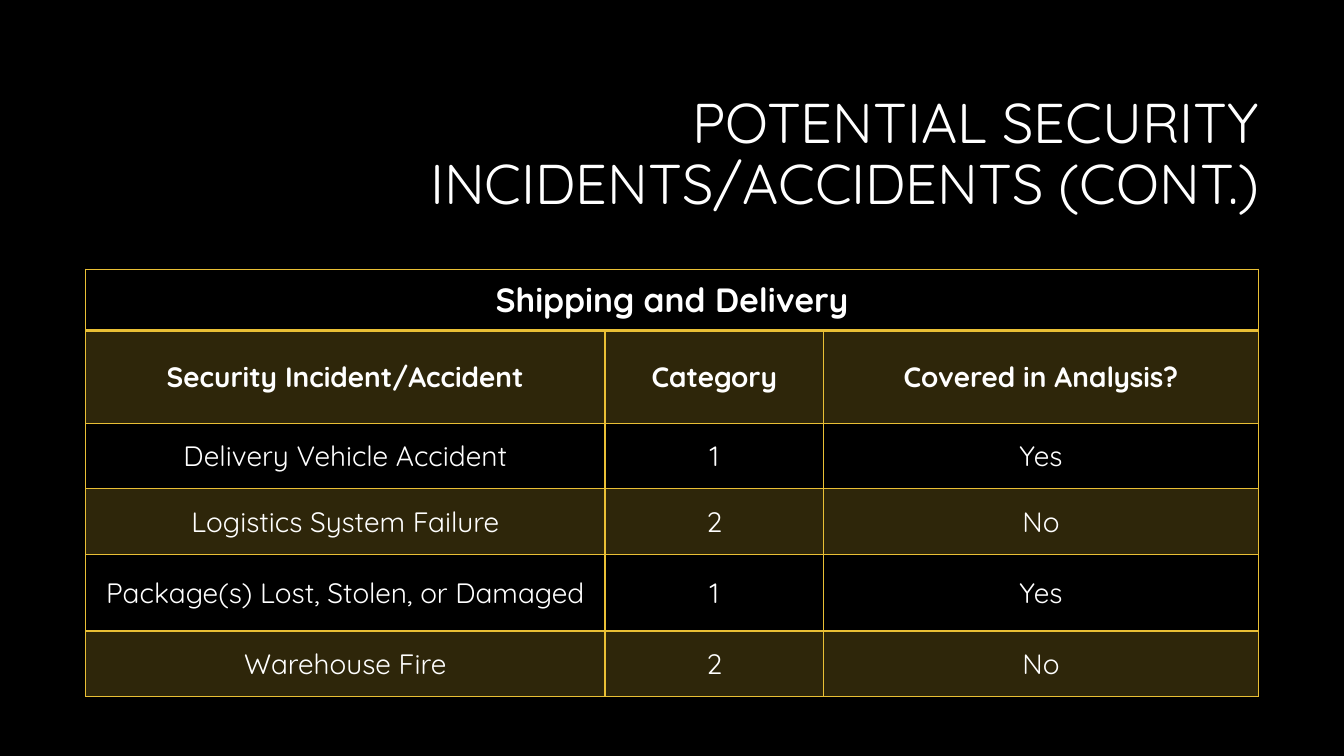
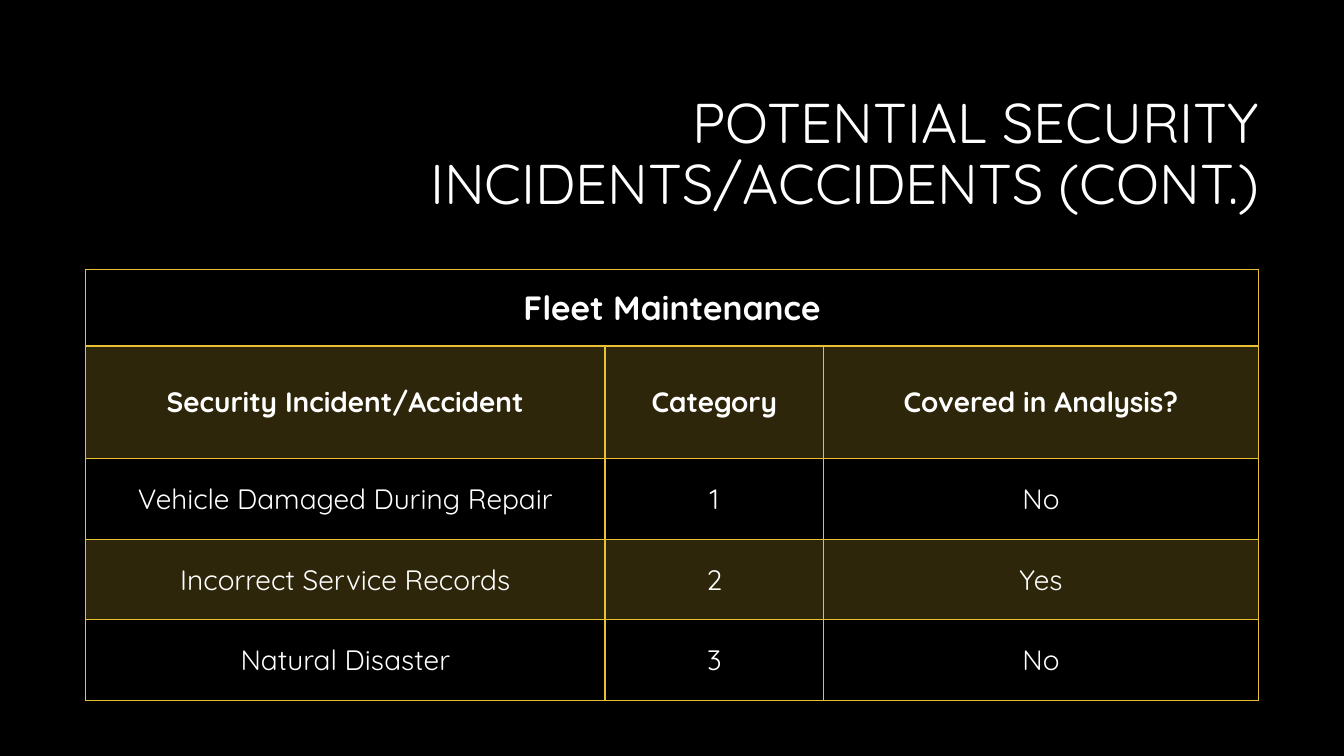
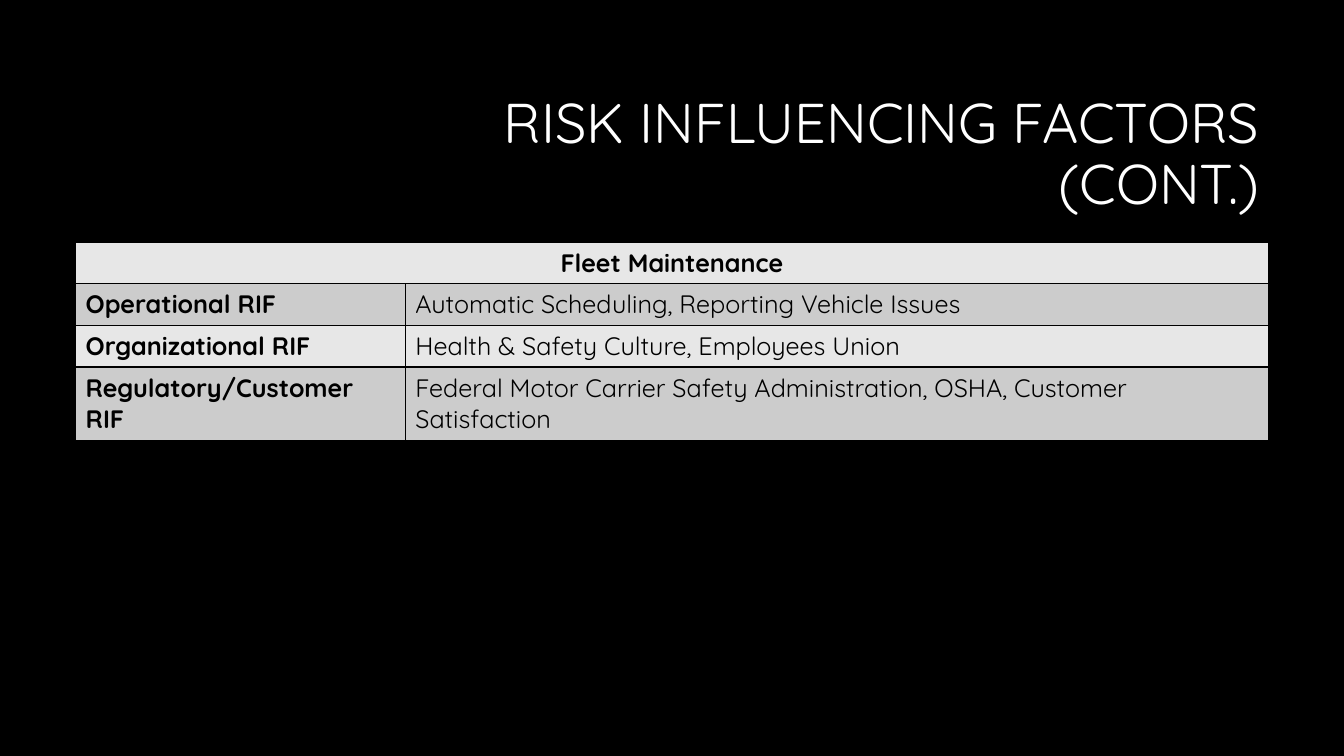
from lxml import etree
from pptx import Presentation
from pptx import util as u
from pptx.dml.color import RGBColor
from pptx.enum import text
from pptx.oxml.ns import qn

FONT = "Quicksand"
COLORS = {
    "black": "000000",
    "white": "FFFFFF",
    "gold": "E9BF35",
    "light": "E7E7E7",
    "grey": "CCCCCC",
}
TITLE_BOX = (3.17, 0.84, 9.42, 1.41)
CENTER = text.PP_ALIGN.CENTER
LEFT = text.PP_ALIGN.LEFT
MIDDLE = text.MSO_ANCHOR.MIDDLE
TOP = text.MSO_ANCHOR.TOP

INCIDENT_TITLE = "POTENTIAL SECURITY INCIDENTS/ACCIDENTS (CONT.)"
INCIDENT_HEADINGS = ("Security Incident/Accident", "Category", "Covered in Analysis?")
INCIDENT_SLIDES = [
    {
        "heading": "Shipping and Delivery",
        "rows": [
            ("Delivery Vehicle Accident", "1", "Yes"),
            ("Logistics System Failure", "2", "No"),
            ("Package(s) Lost, Stolen, or Damaged", "1", "Yes"),
            ("Warehouse Fire", "2", "No"),
        ],
        "heights": (0.61, 0.92, 0.65, 0.65, 0.76, 0.65),
    },
    {
        "heading": "Fleet Maintenance",
        "rows": [
            ("Vehicle Damaged During Repair", "1", "No"),
            ("Incorrect Service Records", "2", "Yes"),
            ("Natural Disaster", "3", "No"),
        ],
        "heights": (0.76, 1.12, 0.8, 0.8, 0.8),
    },
]
FACTOR_TITLE = "RISK INFLUENCING FACTORS (CONT.)"
FACTOR_HEADING = "Fleet Maintenance"
FACTORS = [
    ("Operational RIF", "Automatic Scheduling, Reporting Vehicle Issues"),
    ("Organizational RIF", "Health & Safety Culture, Employees Union"),
    ("Regulatory/Customer RIF",
     "Federal Motor Carrier Safety Administration, OSHA, Customer Satisfaction"),
]


def rgb(name):
    return RGBColor.from_string(COLORS[name])


def write(frame, words, size, color, bold, align):
    para = frame.paragraphs[0]
    para.alignment = align
    span = para.add_run()
    span.text = words
    span.font.name = FONT
    span.font.size = u.Pt(size)
    span.font.bold = bold
    span.font.color.rgb = rgb(color)
    return para


def add_titled_slide(deck, title):
    page = deck.slides.add_slide(deck.slide_layouts[5])
    box = page.shapes.title
    box.left, box.top, box.width, box.height = map(u.Inches, TITLE_BOX)
    frame = box.text_frame
    frame.word_wrap = True
    frame.auto_size = text.MSO_AUTO_SIZE.NONE
    frame.vertical_anchor = MIDDLE
    para = write(frame, title, 40, "white", False, text.PP_ALIGN.RIGHT)
    para.line_spacing = 0.9
    return page


def fill_cell(cell, color, alpha=100):
    if color is None:
        cell.fill.background()
        return
    cell.fill.solid()
    cell.fill.fore_color.rgb = rgb(color)
    if alpha < 100:
        tint = cell._tc.tcPr.find(".//" + qn("a:srgbClr"))
        etree.SubElement(tint, qn("a:alpha"), val=str(alpha * 1000))


def border_cell(cell, color, bottom=1):
    widths = {"a:lnL": 1, "a:lnR": 1, "a:lnT": 1, "a:lnB": bottom}
    properties = cell._tc.get_or_add_tcPr()
    for place, (side, width) in enumerate(widths.items()):
        line = etree.Element(qn(side), w=str(u.Pt(width)))
        paint = etree.SubElement(line, qn("a:solidFill"))
        etree.SubElement(paint, qn("a:srgbClr"), val=COLORS[color])
        properties.insert(place, line)


def add_grid(page, left, top, columns, heights):
    grid = page.shapes.add_table(
        len(heights), len(columns), u.Inches(left), u.Inches(top),
        u.Inches(sum(columns)), u.Inches(sum(heights))).table
    grid.first_row = grid.horz_banding = False
    for column, width in zip(grid.columns, columns):
        column.width = u.Inches(width)
    for row, height in zip(grid.rows, heights):
        row.height = u.Inches(height)
    grid.cell(0, 0).merge(grid.cell(0, len(columns) - 1))
    return grid


def add_incident_slide(deck, heading, rows, heights):
    page = add_titled_slide(deck, INCIDENT_TITLE)
    grid = add_grid(page, 0.85, 2.67, (5.15, 2.17, 4.31), heights)
    lines = [(heading, "", ""), INCIDENT_HEADINGS, *rows]
    for r, line in enumerate(lines):
        for c, words in enumerate(line):
            cell = grid.cell(r, c)
            fill_cell(cell, "gold" if r % 2 else None, 20)
            border_cell(cell, "gold", 2 if r == 0 else 1)
            cell.margin_left = cell.margin_right = u.Inches(0.16)
            cell.margin_top = cell.margin_bottom = u.Inches(0.08)
            cell.vertical_anchor = MIDDLE
            if words:
                write(cell.text_frame, words, 24 if r == 0 else 20, "white", r < 2, CENTER)


def add_factor_slide(deck):
    page = add_titled_slide(deck, FACTOR_TITLE)
    grid = add_grid(page, 0.75, 2.4, (3.27, 8.56), (0.41, 0.41, 0.41, 0.69))
    for r, line in enumerate([(FACTOR_HEADING, ""), *FACTORS]):
        for c, words in enumerate(line):
            cell = grid.cell(r, c)
            fill_cell(cell, "grey" if r % 2 else "light")
            border_cell(cell, "black")
            cell.vertical_anchor = TOP if r else MIDDLE
            if words:
                write(cell.text_frame, words, 18, "black", c == 0, LEFT if r else CENTER)


def main():
    deck = Presentation()
    deck.slide_width, deck.slide_height = u.Inches(13.33), u.Inches(7.5)
    backdrop = deck.slide_master.background.fill
    backdrop.solid()
    backdrop.fore_color.rgb = rgb("black")
    for content in INCIDENT_SLIDES:
        add_incident_slide(deck, **content)
    add_factor_slide(deck)
    deck.save("out.pptx")


if __name__ == "__main__":
    main()
